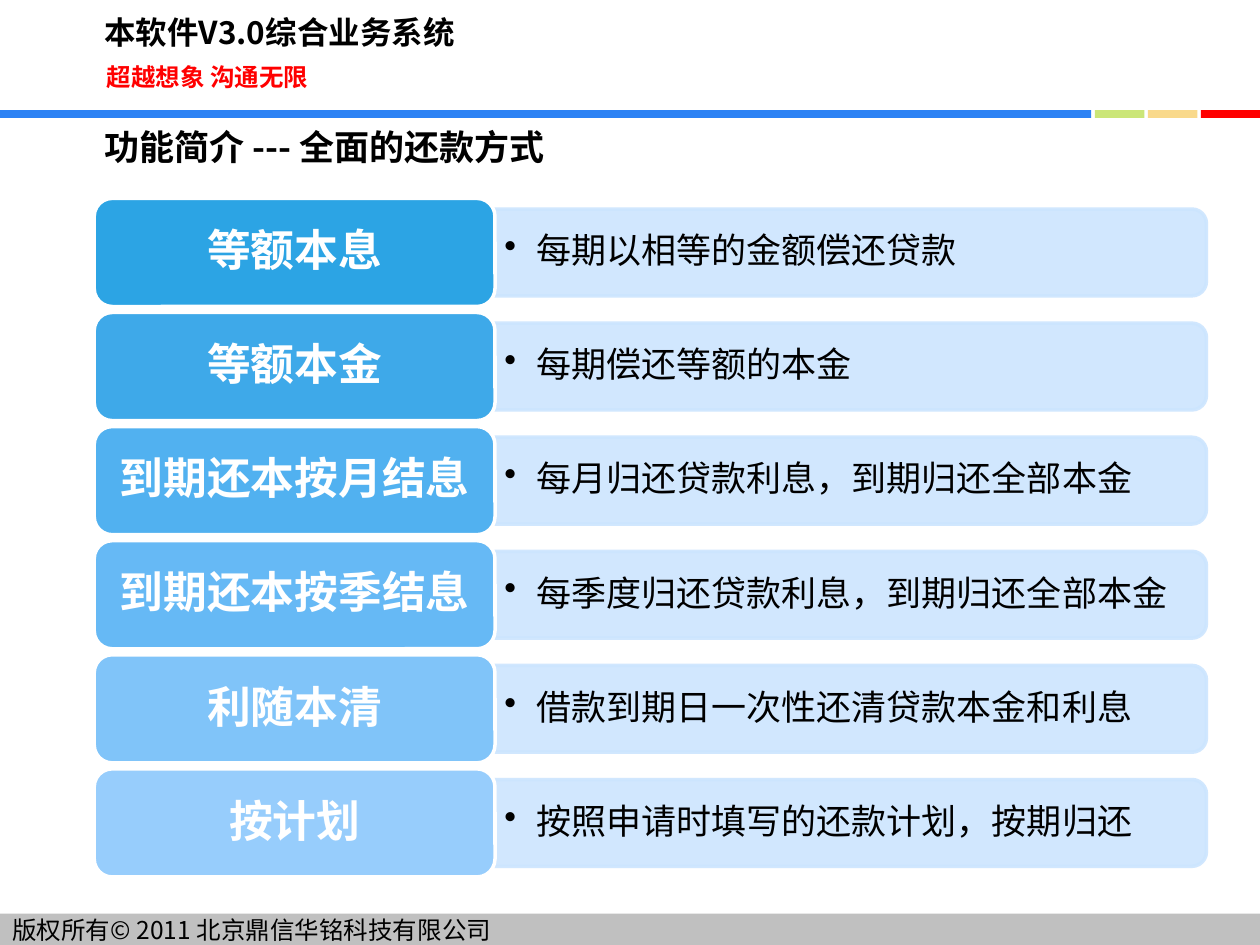
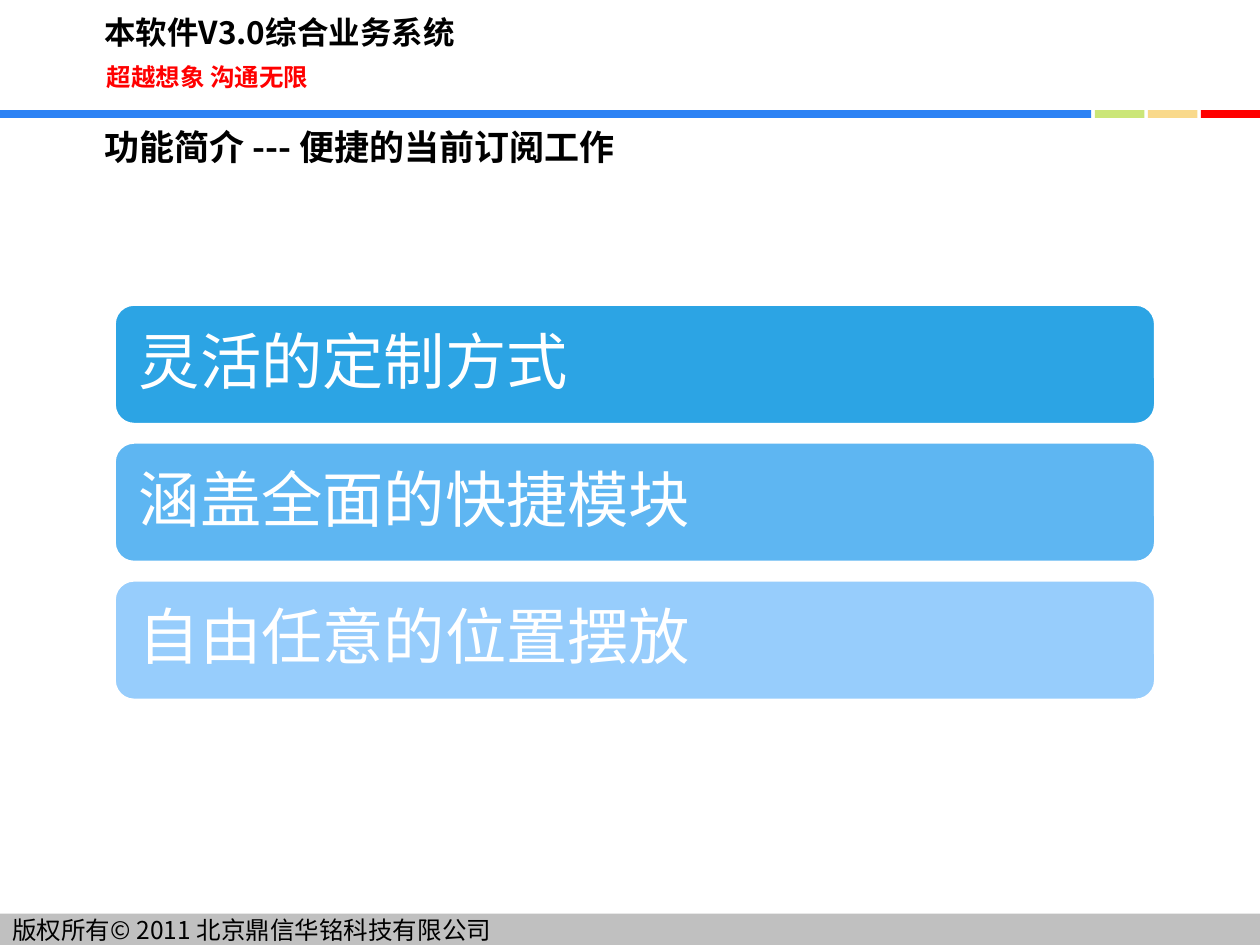
"""Build two slides on the repayment methods and subscriptions of a lending system."""
from dataclasses import dataclass

from lxml import etree
from pptx import Presentation
from pptx import util as u
from pptx.dml.color import RGBColor
from pptx.enum import shapes, text
from pptx.oxml import ns


@dataclass(frozen=True)
class Theme:
    black: str = "000000"
    white: str = "FFFFFF"
    red: str = "FF0000"
    blue: str = "2C82F4"
    green: str = "CBE678"
    sand: str = "F9D98B"
    grey: str = "C0C0C0"
    panel: str = "CCE5FE"
    method_shades: tuple = ("2CA4E4", "3EA9E9", "51B1F0", "66B9F5", "80C4F9", "97CDFC")
    feature_shades: tuple = ("2CA4E4", "5EB6F2", "97CDFC")
    latin: str = "Arial"
    cjk: str = "Noto Sans CJK SC"
    small: int = 14
    product: int = 18
    body: int = 20
    label: int = 25
    feature: int = 35


theme = Theme()
kinds = shapes.MSO_SHAPE


def add_box(s, kind, at, fill, line=None):
    sp = s.shapes.add_shape(kind, *[u.Cm(v) for v in at])
    sp.shadow.inherit = False
    sp.fill.solid()
    sp.fill.fore_color.rgb = RGBColor.from_string(fill)
    if line:
        sp.line.color.rgb = RGBColor.from_string(line)
        sp.line.width = u.Pt(2)
    else:
        sp.line.fill.background()
    return sp


def write(sp, words, size, color, bold=False, font=theme.cjk, inset=(0.25, 0.13),
          anchor=text.MSO_ANCHOR.MIDDLE, align=text.PP_ALIGN.LEFT, after=None):
    tf = sp.text_frame
    tf.word_wrap = True
    tf.vertical_anchor = anchor
    tf.margin_left = tf.margin_right = u.Cm(inset[0])
    tf.margin_top = tf.margin_bottom = u.Cm(inset[1])
    p = tf.paragraphs[0]
    p.text = words
    p.alignment = align
    if after:
        p.line_spacing = 0.9
        p.space_after = u.Pt(after)
    r = p.runs[0]
    r.font.size = u.Pt(size)
    r.font.bold = bold
    r.font.name = font
    r.font.color.rgb = RGBColor.from_string(color)
    etree.SubElement(r.font._element, ns.qn("a:ea"), typeface=theme.cjk)
    return p


prs = Presentation()
prs.slide_width, prs.slide_height = u.Cm(25.4), u.Cm(19.05)

bands = [(0, 22, theme.blue), (22.07, 1, theme.green),
         (23.14, 1, theme.sand), (24.21, 1.19, theme.red)]
titles = ["功能简介 --- 全面的还款方式", "功能简介 --- 便捷的当前订阅工作"]

for title in titles:
    s = prs.slides.add_slide(prs.slide_layouts[6])
    footer = add_box(s, kinds.RECTANGLE, (0, 18.42, 25.4, 0.63), theme.grey)
    write(footer, "版权所有© 2011 北京鼎信华铭科技有限公司", theme.small, theme.black, inset=(0.25, 0))
    for left, width, color in bands:
        add_box(s, kinds.RECTANGLE, (left, 2.22, width, 0.16), color)
    headings = [
        ("本软件V3.0综合业务系统", (1.85, 0.13, 9, 1.02), theme.product, theme.black),
        ("超越想象 沟通无限", (1.9, 1.12, 6, 0.86), theme.small, theme.red),
        (title, (1.85, 2.41, 17.12, 1.12), theme.body, theme.black),
    ]
    for words, at, size, color in headings:
        sp = s.shapes.add_textbox(*[u.Cm(v) for v in at])
        write(sp, words, size, color, bold=True, anchor=text.MSO_ANCHOR.TOP)

methods = [
    ("等额本息", "每期以相等的金额偿还贷款"),
    ("等额本金", "每期偿还等额的本金"),
    ("到期还本按月结息", "每月归还贷款利息，到期归还全部本金"),
    ("到期还本按季结息", "每季度归还贷款利息，到期归还全部本金"),
    ("利随本清", "借款到期日一次性还清贷款本金和利息"),
    ("按计划", "按照申请时填写的还款计划，按期归还"),
]
s = prs.slides[0]
panel_left, panel_w, panel_h = 9.97, 14.35, 1.75
label_top, label_h, method_pitch = 4, 2.18, 2.3
for i, (name, description) in enumerate(methods):
    top = label_top + i * method_pitch
    middle = top + label_h / 2
    panel_at = (panel_left + (panel_w - panel_h) / 2, middle - panel_w / 2, panel_h, panel_w)
    panel = add_box(s, kinds.ROUND_2_SAME_RECTANGLE, panel_at, theme.panel, theme.panel)
    panel.rotation = 90
    for color in panel._element.spPr.iter(ns.qn("a:srgbClr")):
        etree.SubElement(color, ns.qn("a:alpha"), val="89000")

    detail_at = (panel_left, middle - 0.79, 14.25, 1.58)
    detail = s.shapes.add_textbox(*[u.Cm(v) for v in detail_at])
    p = write(detail, description, theme.body, theme.black, font=theme.latin,
              inset=(0.2, 0.1), after=3.7)
    pPr = p._p.get_or_add_pPr()
    pPr.set("marL", str(u.Cm(0.64)))
    pPr.set("indent", str(-u.Cm(0.64)))
    etree.SubElement(pPr, ns.qn("a:buChar"), char="•")

    label = add_box(s, kinds.ROUNDED_RECTANGLE, (1.9, top, 8.08, label_h),
                    theme.method_shades[i], theme.white)
    write(label, name, theme.label, theme.white, bold=True, font=theme.latin,
          align=text.PP_ALIGN.CENTER, after=10.9)

features = ["灵活的定制方式", "涵盖全面的快捷模块", "自由任意的位置摆放"]
s = prs.slides[1]
for i, (feature, shade) in enumerate(zip(features, theme.feature_shades)):
    sp = add_box(s, kinds.ROUNDED_RECTANGLE, (2.3, 6.13 + i * 2.78, 21, 2.43), shade, theme.white)
    write(sp, feature, theme.feature, theme.white, font=theme.latin,
          inset=(0.38, 0.38), after=15.2)

prs.save("out.pptx")
